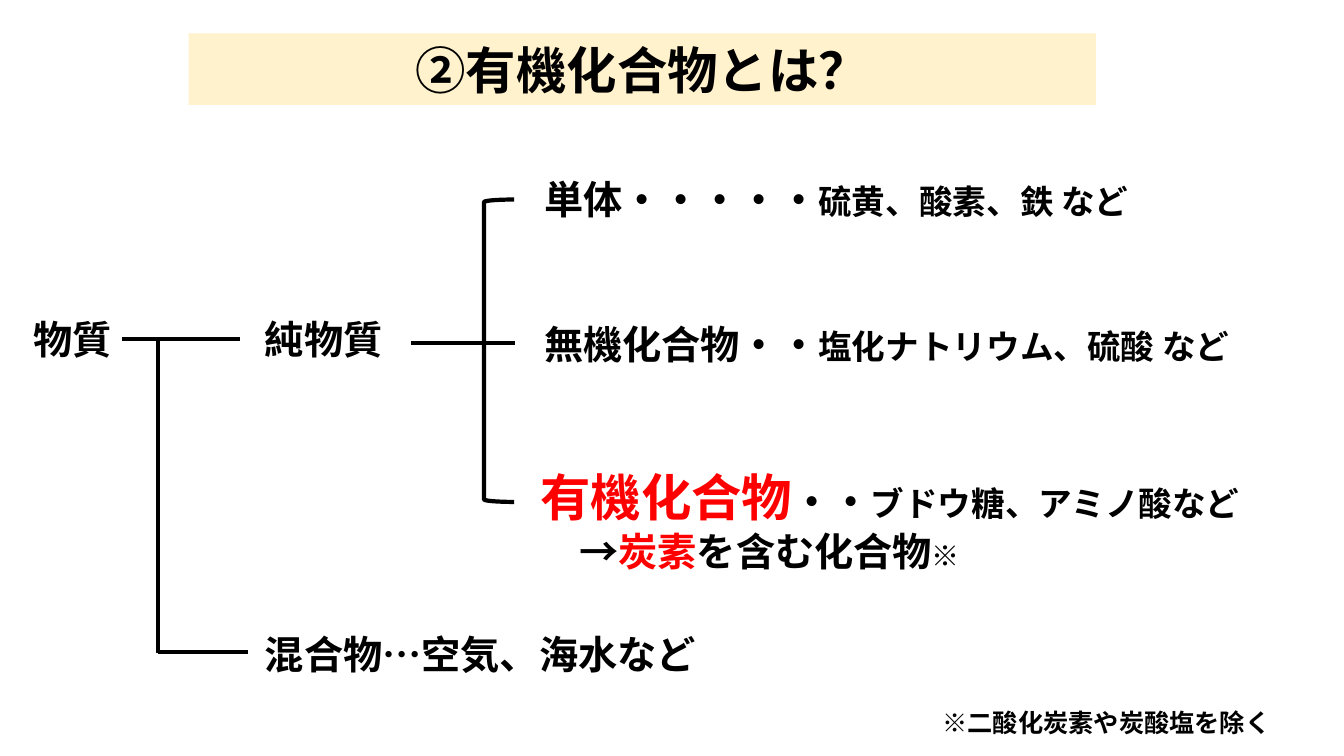
from lxml import etree
from pptx import Presentation
from pptx.dml.color import RGBColor
from pptx.enum.shapes import MSO_CONNECTOR, MSO_SHAPE
from pptx.enum.text import MSO_ANCHOR, MSO_AUTO_SIZE, PP_ALIGN
from pptx.oxml.ns import qn
from pptx.util import Inches, Pt

STRAIGHT = MSO_CONNECTOR.STRAIGHT
LEFT_BRACKET = MSO_SHAPE.LEFT_BRACKET
TOP, MIDDLE = MSO_ANCHOR.TOP, MSO_ANCHOR.MIDDLE
NO_AUTOFIT = MSO_AUTO_SIZE.NONE
CENTER = PP_ALIGN.CENTER

SLIDE_WIDTH, SLIDE_HEIGHT = 13.33, 7.5
FONT = "Noto Sans CJK JP"
BLACK, RED, CREAM = "000000", "FF0000", "FFF2CC"
LINE_WIDTH = 3
TITLE_SIZE, TERM_SIZE, EXAMPLE_SIZE, MARK_SIZE, NOTE_SIZE = 36, 28, 24, 20, 18

# Columns and rows of the tree
SUBSTANCE_X, CLASS_X, KIND_X = 0.23, 2.53, 5.3
TRUNK_X, BRACKET_X, BRACKET_RIGHT = 1.57, 4.8, 5.1
CLASS_Y, PURE_Y, MIXTURE_Y = 3.08, 3.36, 6.47
KIND_Y, KIND_STEP = 1.69, 1.44
BRACKET_Y, BRACKET_HEIGHT = 1.98, 3

TITLE = ("②有機化合物とは？", TITLE_SIZE, BLACK)
TITLE_BOX = (1.87, 0.33, 9, 0.71)

# left, top, height, paragraphs of (indent in points, runs of (text, size, colour))
LABELS = [
    (SUBSTANCE_X, CLASS_Y, 0.57, [(0, [("物質", TERM_SIZE, BLACK)])]),
    (CLASS_X, CLASS_Y, 0.57, [(0, [("純物質", TERM_SIZE, BLACK)])]),
    (CLASS_X, 6.2, 0.57, [(0, [("混合物…空気、海水など", TERM_SIZE, BLACK)])]),
    (KIND_X, KIND_Y, 0.57, [
        (0, [("単体・・・・・", TERM_SIZE, BLACK),
             ("硫黄、酸素、鉄 など", EXAMPLE_SIZE, BLACK)]),
    ]),
    (KIND_X, KIND_Y + KIND_STEP, 0.57, [
        (0, [("無機化合物・・", TERM_SIZE, BLACK),
             ("塩化ナトリウム、硫酸 など", EXAMPLE_SIZE, BLACK)]),
    ]),
    (KIND_X - 0.04, KIND_Y + 2 * KIND_STEP + 0.01, 1.2, [
        (0, [("有機化合物", TITLE_SIZE, RED),
             ("・・", TERM_SIZE, BLACK),
             ("ブドウ糖、アミノ酸など", EXAMPLE_SIZE, BLACK)]),
        (TERM_SIZE, [("→", TERM_SIZE, BLACK),
                     ("炭素", TERM_SIZE, RED),
                     ("を含む化合物", TERM_SIZE, BLACK),
                     ("※", MARK_SIZE, BLACK)]),
    ]),
    (9.25, 6.97, 0.4, [(0, [("※二酸化炭素や炭酸塩を除く", NOTE_SIZE, BLACK)])]),
]

BRANCHES = [
    (1.21, PURE_Y, 2.38, PURE_Y),
    (TRUNK_X, PURE_Y, TRUNK_X, MIXTURE_Y + 0.01),
    (TRUNK_X, MIXTURE_Y, 2.46, MIXTURE_Y),
    (4.08, 3.4, BRACKET_RIGHT + 0.01, 3.4),
]


def color(hex_value):
    return RGBColor.from_string(hex_value)


def add_run(paragraph, text, size, hex_value):
    run = paragraph.add_run()
    run.text = text
    for name, value in {"name": FONT, "size": Pt(size), "bold": True}.items():
        setattr(run.font, name, value)
    run.font.color.rgb = color(hex_value)
    east_asian = etree.Element(qn("a:ea"), typeface=FONT)
    run.font._element.find(qn("a:latin")).addnext(east_asian)


def format_frame(frame, anchor):
    settings = {"word_wrap": True, "auto_size": NO_AUTOFIT, "vertical_anchor": anchor}
    for name, value in settings.items():
        setattr(frame, name, value)


def add_title(slide):
    title = slide.shapes.title
    for name, value in zip(("left", "top", "width", "height"), TITLE_BOX):
        setattr(title, name, Inches(value))
    title.fill.solid()
    title.fill.fore_color.rgb = color(CREAM)
    format_frame(title.text_frame, MIDDLE)
    paragraph = title.text_frame.paragraphs[0]
    paragraph.alignment = CENTER
    add_run(paragraph, *TITLE)


def add_label(slide, left, top, height, paragraphs):
    width = SLIDE_WIDTH - left
    box = slide.shapes.add_textbox(*map(Inches, (left, top, width, height)))
    frame = box.text_frame
    format_frame(frame, TOP)
    for index, (indent, runs) in enumerate(paragraphs):
        paragraph = frame.add_paragraph() if index else frame.paragraphs[0]
        if indent:
            paragraph._p.get_or_add_pPr().set("marL", str(Pt(indent)))
        for run in runs:
            add_run(paragraph, *run)


def format_line(line):
    line.color.rgb = color(BLACK)
    line.width = Pt(LINE_WIDTH)


def add_bracket(slide):
    box = (BRACKET_X, BRACKET_Y, BRACKET_RIGHT - BRACKET_X, BRACKET_HEIGHT)
    bracket = slide.shapes.add_shape(LEFT_BRACKET, *map(Inches, box))
    bracket.shadow.inherit = False
    bracket.fill.background()
    format_line(bracket.line)


def add_branch(slide, ends):
    branch = slide.shapes.add_connector(STRAIGHT, *map(Inches, ends))
    format_line(branch.line)
    etree.SubElement(branch._element.spPr, qn("a:effectLst"))


def main():
    presentation = Presentation()
    presentation.slide_width = Inches(SLIDE_WIDTH)
    presentation.slide_height = Inches(SLIDE_HEIGHT)
    slide = presentation.slides.add_slide(presentation.slide_layouts[5])
    add_title(slide)
    add_bracket(slide)
    for ends in BRANCHES:
        add_branch(slide, ends)
    for label in LABELS:
        add_label(slide, *label)
    presentation.save("out.pptx")


if __name__ == "__main__":
    main()
